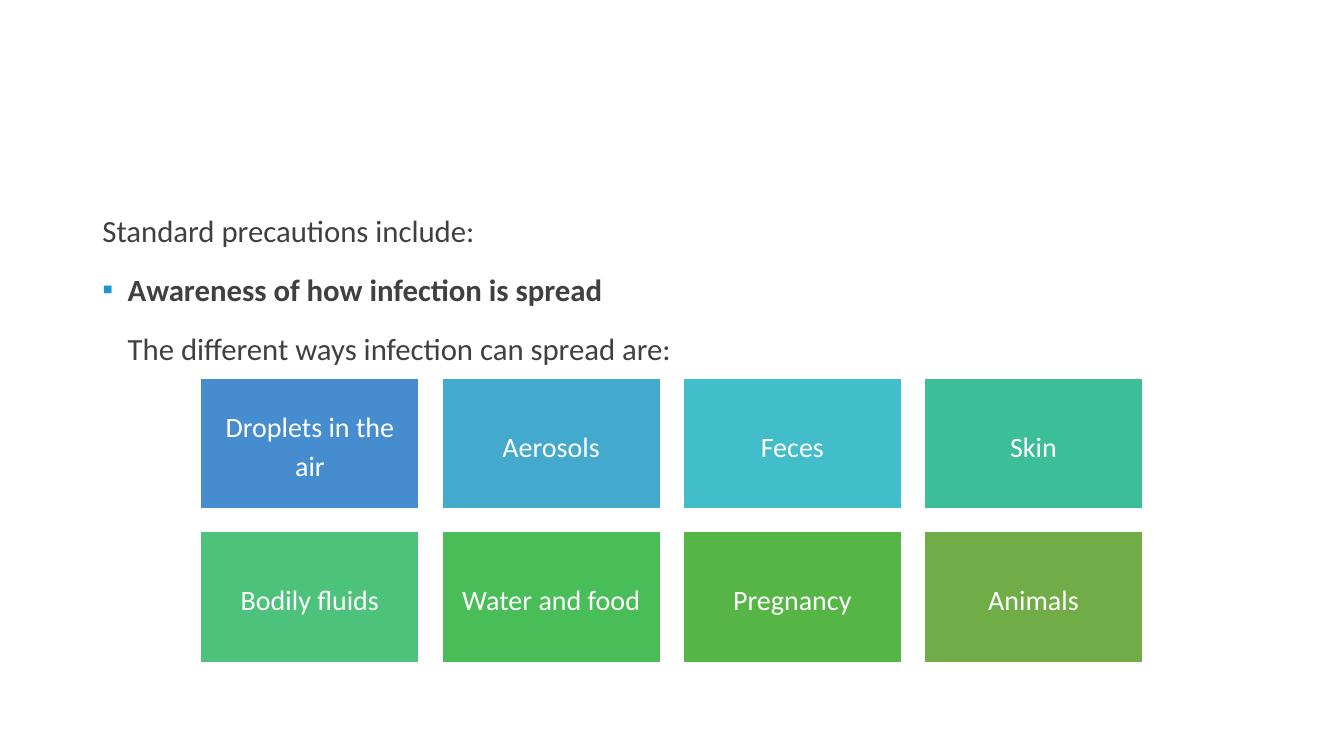
from lxml import etree
from pptx import Presentation
from pptx.dml.color import RGBColor
from pptx.enum import shapes, text
from pptx.oxml import ns
from pptx.util import Pt

FONT = "Calibri"
WHITE = RGBColor(0xFF, 0xFF, 0xFF)
DARK = RGBColor(0x40, 0x40, 0x40)
BULLET_BLUE = RGBColor(0x1C, 0x96, 0xD3)

ROUTES = [
    ("Droplets in the air", RGBColor(0x45, 0x8D, 0xCF)),
    ("Aerosols", RGBColor(0x43, 0xA9, 0xCD)),
    ("Feces", RGBColor(0x42, 0xBD, 0xCA)),
    ("Skin", RGBColor(0x3C, 0xBE, 0x99)),
    ("Bodily fluids", RGBColor(0x4C, 0xC2, 0x7B)),
    ("Water and food", RGBColor(0x48, 0xBD, 0x58)),
    ("Pregnancy", RGBColor(0x55, 0xB6, 0x46)),
    ("Animals", RGBColor(0x70, 0xAD, 0x47)),
]
COLUMNS = 4
GRID_LEFT, GRID_TOP = 143.3, 270
TILE_WIDTH, TILE_HEIGHT = 156.2, 93.6
COLUMN_STEP, ROW_STEP = 172.3, 109.5


def set_bullet(para, character, indent, hanging):
    properties = para._p.get_or_add_pPr()
    properties.set("marL", str(Pt(indent)))
    properties.set("indent", str(Pt(-hanging)))
    if character:
        color = etree.SubElement(properties, ns.qn("a:buClr"))
        etree.SubElement(color, ns.qn("a:srgbClr"), val=str(BULLET_BLUE))
        etree.SubElement(properties, ns.qn("a:buChar"), char=character)
    else:
        etree.SubElement(properties, ns.qn("a:buNone"))


def write_text(para, words, size=20, color=WHITE, bold=False,
               align=text.PP_ALIGN.CENTER, before=0, after=6):
    para.alignment = align
    para.line_spacing = 1.14
    para.space_before = Pt(before)
    para.space_after = Pt(after)
    span = para.add_run()
    span.text = words
    span.font.name = FONT
    span.font.size = Pt(size)
    span.font.bold = bold
    span.font.color.rgb = color


def add_list(page):
    body = page.placeholders[1]
    body.left, body.top = Pt(66), Pt(144)
    body.width, body.height = Pt(794), Pt(343)
    frame = body.text_frame
    frame.word_wrap = True
    frame.auto_size = text.MSO_AUTO_SIZE.NONE
    frame.vertical_anchor = text.MSO_ANCHOR.TOP
    items = [
        ("Standard precautions include:", None, 0, 0, False),
        ("Awareness of how infection is spread", "▪", 18, 18, True),
        ("The different ways infection can spread are:", None, 18, 0, False),
    ]
    for index, (words, character, indent, hanging, bold) in enumerate(items):
        para = frame.add_paragraph() if index else frame.paragraphs[0]
        set_bullet(para, character, indent, hanging)
        write_text(para, words, size=22, color=DARK, bold=bold,
                   align=text.PP_ALIGN.LEFT, before=6 if index else 0)


def add_tile(page, words, fill, left, top):
    box = page.shapes.add_shape(shapes.MSO_SHAPE.RECTANGLE, Pt(left), Pt(top),
                                Pt(TILE_WIDTH), Pt(TILE_HEIGHT))
    box.shadow.inherit = False
    box.fill.solid()
    box.fill.fore_color.rgb = fill
    box.line.color.rgb = WHITE
    box.line.width = Pt(1)
    frame = box.text_frame
    frame.word_wrap = True
    frame.vertical_anchor = text.MSO_ANCHOR.MIDDLE
    frame.margin_left = frame.margin_right = Pt(6)
    frame.margin_top = frame.margin_bottom = Pt(6)
    write_text(frame.paragraphs[0], words)


def main():
    deck = Presentation()
    deck.slide_width, deck.slide_height = Pt(960), Pt(540)
    page = deck.slides.add_slide(deck.slide_layouts[1])
    title = page.shapes.title.element
    title.getparent().remove(title)
    add_list(page)
    for index, (words, fill) in enumerate(ROUTES):
        row, column = divmod(index, COLUMNS)
        add_tile(page, words, fill, GRID_LEFT + column * COLUMN_STEP,
                 GRID_TOP + row * ROW_STEP)
    deck.save("out.pptx")


if __name__ == "__main__":
    main()
